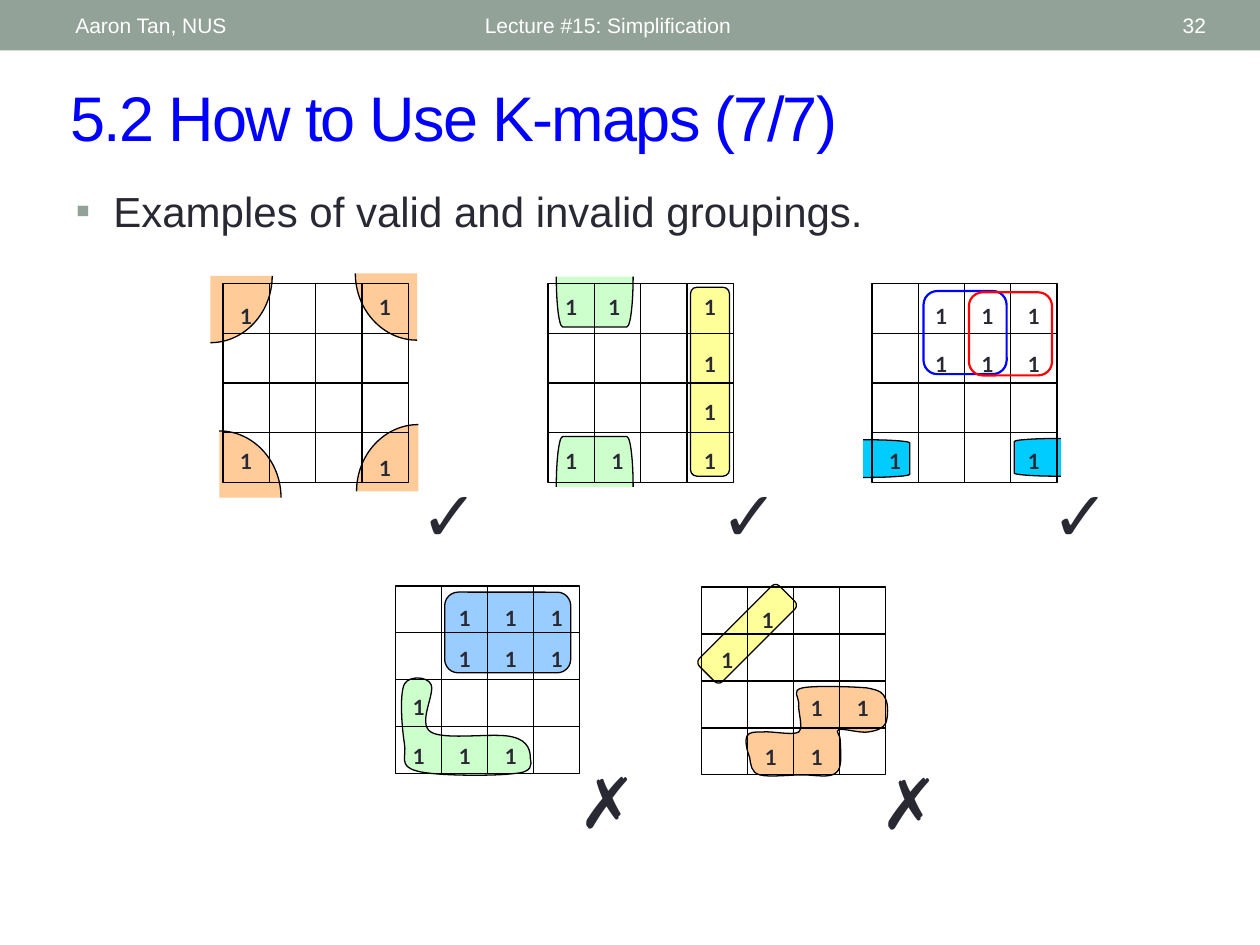
from copy import deepcopy

from lxml import etree
from pptx import Presentation
from pptx import util as u
from pptx.dml.color import RGBColor
from pptx.enum import shapes, text
from pptx.oxml import ns

Inches, Pt = u.Inches, u.Pt
KIND, ALIGN, ANCHOR = shapes.MSO_SHAPE, text.PP_ALIGN, text.MSO_ANCHOR
COLORS = {
    "sage": "93A299", "white": "FFFFFF", "ink": "292934", "black": "000000",
    "blue": "0000FF", "red": "FF0000", "yellow": "FFFF99", "green": "CCFFCC",
    "orange": "FFCC99", "sky": "99CCFF", "cyan": "00CCFF",
}
RGB = {name: RGBColor.from_string(value) for name, value in COLORS.items()}

deck = Presentation()
deck.slide_width, deck.slide_height = Inches(10), Inches(7.5)
page = deck.slides.add_slide(deck.slide_layouts[1])


def style(shape, fill=None, line="black", width=0.75):
    shape.shadow.inherit = False
    if fill:
        shape.fill.solid()
        shape.fill.fore_color.rgb = RGB[fill]
    else:
        shape.fill.background()
    if line:
        shape.line.color.rgb = RGB[line]
        shape.line.width = Pt(width)
    else:
        shape.line.fill.background()


def add_curve(points, fill):
    """Draw a start point followed by triples of cubic Bezier points."""
    start, *rest = [(Inches(x), Inches(y)) for x, y in points]
    builder = page.shapes.build_freeform(*start)
    builder.add_line_segments(rest, close=True)
    shape = builder.convert_to_shape()
    style(shape, fill)
    outline = shape._element.find(".//" + ns.qn("a:path"))
    segments = outline.findall(ns.qn("a:lnTo"))
    for i in range(0, len(segments) - 2, 3):
        curve = etree.Element(ns.qn("a:cubicBezTo"))
        segments[i].addprevious(curve)
        for segment in segments[i:i + 3]:
            curve.append(segment[0])
            outline.remove(segment)
    return outline


# Header band
band = page.shapes.add_shape(KIND.RECTANGLE, 0, 0, Inches(10), Inches(0.4))
style(band, "sage", None)

# Title and bullet
title, body = page.placeholders
title.left, title.top, title.width, title.height = map(Inches, (0.46, 0.57, 9.07, 0.7))
title.text_frame.text = "5.2 How to Use K-maps (7/7)"
title.text_frame.vertical_anchor = ANCHOR.MIDDLE
para = title.text_frame.paragraphs[0]
para.alignment = ALIGN.LEFT
para.font.name, para.font.size = "Arial", Pt(36)
para.font.color.rgb = RGB["blue"]
para.runs[0].font._element.set("spc", "-100")

body.left, body.top, body.width, body.height = map(Inches, (0.5, 1.42, 9, 0.76))
body.text_frame.text = "Examples of valid and invalid groupings."
para = body.text_frame.paragraphs[0]
props = para._p.get_or_add_pPr()
props.set("marL", str(Inches(0.3)))
props.set("indent", str(-Inches(0.3)))
para.space_before = Pt(0)
bullet_color = etree.SubElement(props, ns.qn("a:buClr"))
etree.SubElement(bullet_color, ns.qn("a:srgbClr"), val=COLORS["sage"])
etree.SubElement(props, ns.qn("a:buFont"), typeface="Arial")
etree.SubElement(props, ns.qn("a:buChar"), char="▪")
para.font.name, para.font.size = "Arial", Pt(24)
para.font.color.rgb = RGB["ink"]

# Adjacent-cell groups: kind, left, top, width, height, rotation, adjustment, fill
groups = [
    (KIND.ROUNDED_RECTANGLE, 5.48, 2.28, 0.31, 1.5, 0, 0.167, "yellow"),
    (KIND.LEFT_BRACKET, 4.52, 3.36, 0.4, 0.61, 90, 0.125, "green"),
    (KIND.LEFT_BRACKET, 4.52, 2.09, 0.4, 0.61, 270, 0.125, "green"),
    (KIND.LEFT_BRACKET, 8.05, 3.48, 0.37, 0.3, 0, 0.083, "cyan"),
    (KIND.RIGHT_BRACKET, 6.85, 3.49, 0.37, 0.3, 0, 0.083, "cyan"),
    (KIND.ROUNDED_RECTANGLE, 3.53, 4.7, 1, 0.64, 0, 0.167, "sky"),
    (KIND.ROUNDED_RECTANGLE, 5.48, 4.9, 0.9, 0.26, 315, 0.167, "yellow"),
]
for kind, left, top, width, height, rotation, adjustment, fill in groups:
    group = page.shapes.add_shape(kind, *map(Inches, (left, top, width, height)))
    group.rotation = rotation
    group.adjustments[0] = adjustment
    style(group, fill)

# Four-corner group: quarter ellipses given by centre and direction of bulge
for x, y, dx, dy in [(3.32, 3.9, -1, -1), (1.74, 3.95, 1, -1),
                     (1.67, 2.19, 1, 1), (3.31, 2.17, -1, 1)]:
    rx, ry = dx * 0.49, dy * 0.53
    area = add_curve([(x, y + ry), (x + 0.55 * rx, y + ry), (x + rx, y + 0.55 * ry),
                      (x + rx, y), (x, y)], "orange")
    arc = deepcopy(area)
    area.set("stroke", "0")
    arc.set("fill", "none")
    for part in arc[-2:]:
        arc.remove(part)
    area.addnext(arc)

# Invalid L-shaped and Z-shaped groups
add_curve([
    (4.08, 6.14), (3.93, 6.16), (3.45, 6.16), (3.31, 6.12), (3.16, 6.08), (3.23, 6.01),
    (3.21, 5.9), (3.19, 5.78), (3.17, 5.51), (3.21, 5.43), (3.25, 5.36), (3.39, 5.37),
    (3.42, 5.43), (3.46, 5.5), (3.31, 5.74), (3.42, 5.81), (3.53, 5.88), (3.94, 5.81),
    (4.07, 5.85), (4.2, 5.88), (4.21, 5.97), (4.21, 6.02), (4.22, 6.07), (4.23, 6.13),
    (4.08, 6.14)], "green")
add_curve([
    (6.88, 5.46), (6.77, 5.45), (6.46, 5.44), (6.37, 5.46), (6.28, 5.48), (6.34, 5.53),
    (6.34, 5.58), (6.33, 5.64), (6.38, 5.77), (6.34, 5.81), (6.29, 5.84), (6.12, 5.8),
    (6.05, 5.81), (5.98, 5.81), (5.95, 5.81), (5.93, 5.84), (5.91, 5.88), (5.93, 5.96),
    (5.95, 6.01), (5.96, 6.07), (5.96, 6.13), (6.03, 6.15), (6.1, 6.17), (6.27, 6.15),
    (6.37, 6.15), (6.47, 6.15), (6.59, 6.18), (6.64, 6.13), (6.69, 6.09), (6.67, 5.95),
    (6.67, 5.89), (6.68, 5.84), (6.62, 5.8), (6.66, 5.79), (6.69, 5.78), (6.83, 5.82),
    (6.89, 5.81), (6.96, 5.8), (7.01, 5.78), (7.03, 5.74), (7.05, 5.69), (7.05, 5.59),
    (7.03, 5.55), (7.01, 5.5), (6.99, 5.48), (6.88, 5.46)], "orange")

# Labels: text, left, top, width, height, size, font, bold, colour, alignment, anchor
labels = [
    (words, left, 0.02, width, 0.36, 12, "Arial", False, "white", align, ANCHOR.MIDDLE)
    for words, left, width, align in [
        ("Aaron Tan, NUS", 0.5, 3.17, ALIGN.LEFT),
        ("Lecture #15: Simplification", 3.75, 4.5, ALIGN.LEFT),
        ("32", 8.72, 0.95, ALIGN.RIGHT)]
]

# Maps: left, top, width, height, then the columns of the ones at each text top
maps = [
    (1.77, 2.25, 1.47, 1.58, {2.29: [3], 2.36: [0], 3.51: [0], 3.57: [3]}),
    (4.35, 2.25, 1.47, 1.58, {2.29: [0, 0.93, 3], 2.74: [3], 3.12: [3], 3.51: [0, 1, 3]}),
    (6.92, 2.25, 1.47, 1.58, {2.36: [1, 2, 3], 2.74: [1, 2, 3], 3.51: [0, 3]}),
    (3.14, 4.65, 1.46, 1.49, {4.76: [1, 2, 3], 5.08: [1, 2, 3], 5.46: [0], 5.85: [0, 1, 2]}),
    (5.57, 4.66, 1.46, 1.49, {4.77: [0.93], 5.09: [0.05], 5.47: [2, 3], 5.86: [1, 2]}),
]
for left, top, width, height, ones in maps:
    frame = page.shapes.add_shape(KIND.RECTANGLE, *map(Inches, (left, top, width, height)))
    style(frame)
    for i in (1, 2, 3):
        x, y = left + width * i / 4, top + height * i / 4
        for ends, sides in [((left, y, left + width, y), (1, 3)),
                            ((x, top, x, top + height), (0, 2))]:
            rule = page.shapes.add_connector(shapes.MSO_CONNECTOR.STRAIGHT, *map(Inches, ends))
            if i == 2:
                rule.begin_connect(frame, sides[0])
                rule.end_connect(frame, sides[1])
            rule.line.color.rgb = RGB["black"]
            rule.line.width = Pt(0.75)
            etree.SubElement(rule._element.spPr, ns.qn("a:effectLst"))
    labels += [("1", left + column * width / 4, row, 0.37, 0.3, 12, "Lato", True, "ink",
                ALIGN.CENTER, ANCHOR.TOP)
               for row, columns in ones.items() for column in columns]

# Overlapping valid groups
for left, top, line in [(7.33, 2.31, "blue"), (7.69, 2.32, "red")]:
    ring = page.shapes.add_shape(KIND.ROUNDED_RECTANGLE,
                                 *map(Inches, (left, top, 0.66, 0.66)))
    style(ring, None, line, 1.25)

# Verdicts
labels += [(mark, left, top, width, 0.77, 40, "Arial", False, "ink", ALIGN.LEFT, ANCHOR.TOP)
           for mark, left, top, width in [
               ("✓", 3.24, 3.69, 0.56), ("✓", 5.62, 3.69, 0.56), ("✓", 8.25, 3.69, 0.56),
               ("✗", 4.49, 5.97, 0.45), ("✗", 6.89, 5.98, 0.45)]]

for words, left, top, width, height, size, font, bold, color, align, anchor in labels:
    box = page.shapes.add_textbox(*map(Inches, (left, top, width, height)))
    box.text_frame.word_wrap = True
    box.text_frame.vertical_anchor = anchor
    para = box.text_frame.paragraphs[0]
    para.text, para.alignment = words, align
    para.font.name, para.font.size, para.font.bold = font, Pt(size), bold
    para.font.color.rgb = RGB[color]

deck.save("out.pptx")
